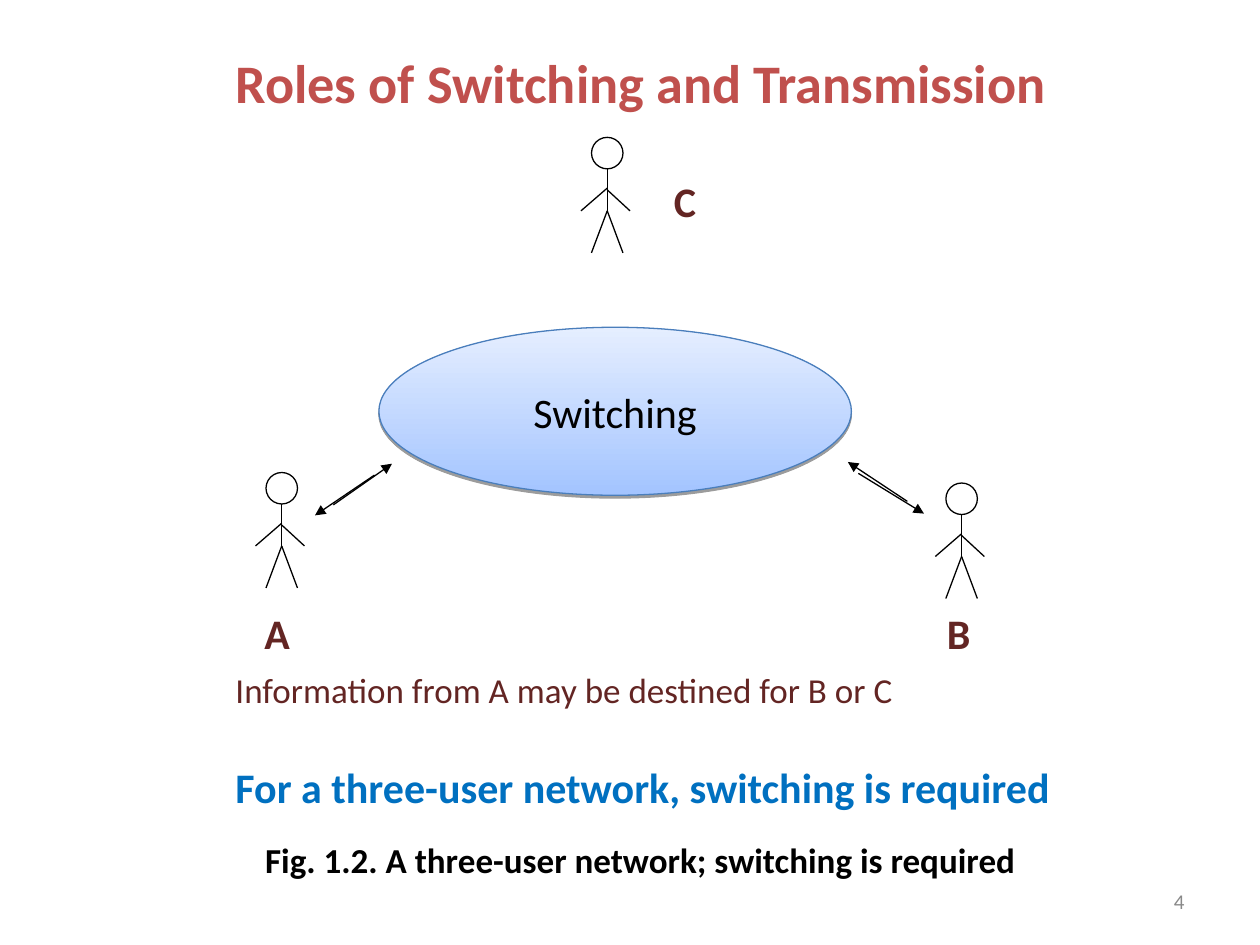
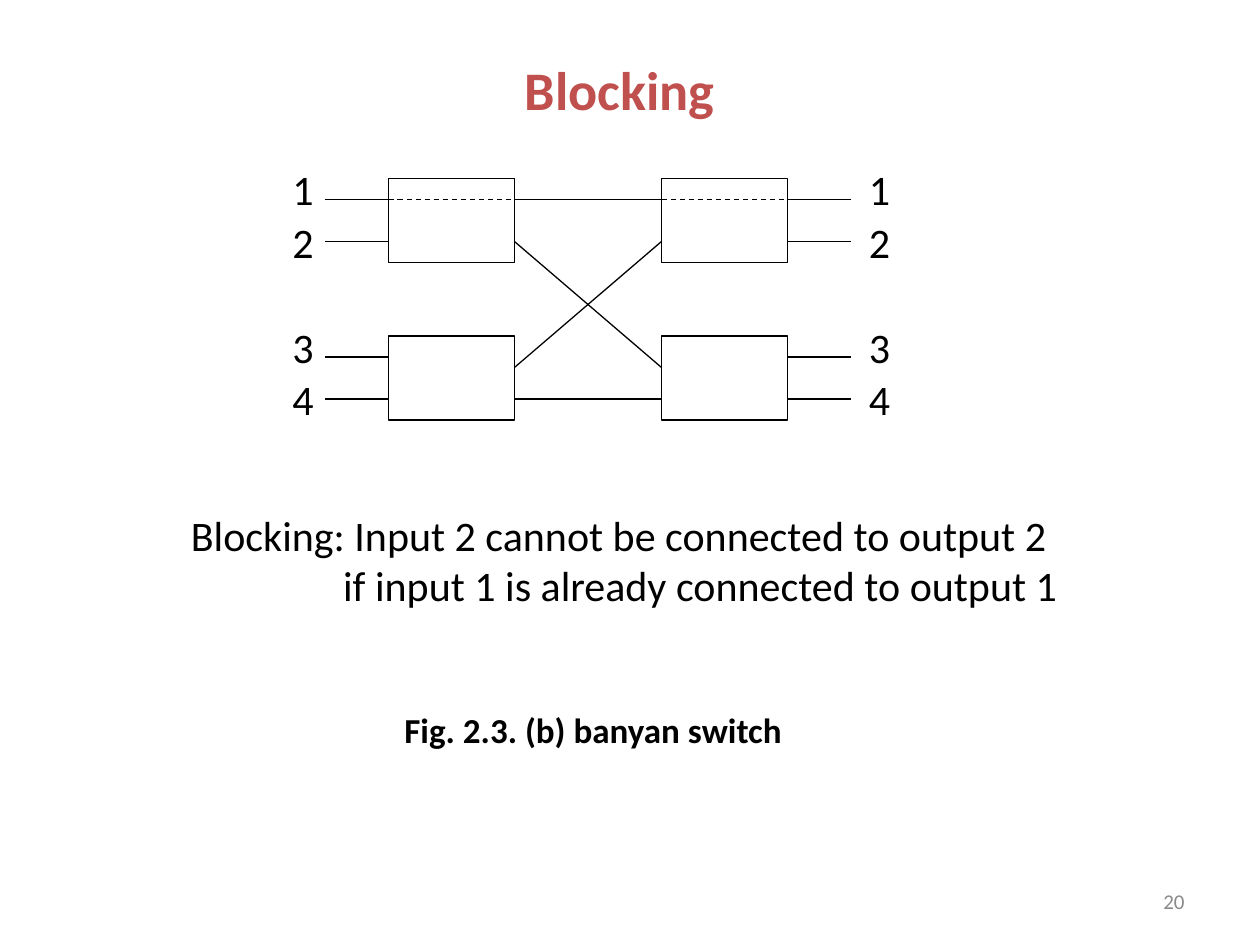
from lxml.etree import SubElement
from pptx import Presentation
from pptx.dml.color import RGBColor
from pptx.enum.dml import MSO_LINE
from pptx.enum.shapes import MSO_CONNECTOR, MSO_SHAPE
from pptx.enum.text import MSO_ANCHOR, PP_ALIGN
from pptx.oxml.ns import qn
from pptx.util import Pt

FONT = "Calibri"
BLACK, RED, MAROON, BLUE, GRAY = "000000", "C0504D", "632523", "0070C0", "898989"
hex_color = RGBColor.from_string
LEFT, CENTER, RIGHT = PP_ALIGN.LEFT, PP_ALIGN.CENTER, PP_ALIGN.RIGHT


def write(slide, box, lines, size, color, bold=False, align=LEFT, anchor=MSO_ANCHOR.TOP):
    frame = slide.shapes.add_textbox(*map(Pt, box)).text_frame
    frame.word_wrap = True
    frame.vertical_anchor = anchor
    for number, line in enumerate(lines):
        paragraph = frame.paragraphs[0] if number == 0 else frame.add_paragraph()
        paragraph.alignment = align
        run = paragraph.add_run()
        run.text = line
        run.font.name = FONT
        run.font.size = Pt(size)
        run.font.bold = bold
        run.font.color.rgb = hex_color(color)
    return frame


def draw_line(slide, ends, arrow=False, dashed=False):
    line = slide.shapes.add_connector(MSO_CONNECTOR.STRAIGHT, *map(Pt, ends))
    line.line.color.rgb = hex_color(BLACK)
    line.line.width = Pt(0.75)
    if dashed:
        line.line.dash_style = MSO_LINE.DASH
    properties = line._element.spPr
    if arrow:
        SubElement(properties.find(qn("a:ln")), qn("a:tailEnd"), type="triangle")
    SubElement(properties, qn("a:effectLst"))


deck = Presentation()
deck.slide_width, deck.slide_height = Pt(720), Pt(540)
roles, blocking = [deck.slides.add_slide(deck.slide_layouts[6]) for _ in range(2)]

for slide, title, title_corner, caption, caption_box, page in (
    (roles, "Roles of Switching and Transmission", (60, 20),
     "Fig. 1.2. A three-user network; switching is required", (60, 464, 612, 54), "4"),
    (blocking, "Blocking", (48, 24),
     "Fig. 2.3. (b) banyan switch", (186, 390, 306, 54), "20"),
):
    write(slide, (*title_corner, 612, 54), [title], 31, RED, True, CENTER, MSO_ANCHOR.MIDDLE)
    write(slide, caption_box, [caption], 20, BLACK, True, CENTER, MSO_ANCHOR.MIDDLE)
    write(slide, (516, 500.4, 168, 28.8), [page], 12, GRAY, False, RIGHT, MSO_ANCHOR.MIDDLE)

switching = roles.shapes.add_shape(MSO_SHAPE.OVAL, Pt(216.5), Pt(187), Pt(270), Pt(96))
switching.fill.gradient()
switching.fill.gradient_angle = 90
for stop, position, shade in zip(switching.fill.gradient_stops, (0, 1), ("A3C4FF", "E5EEFF")):
    stop.position = position
    stop.color.rgb = hex_color(shade)
switching.line.color.rgb = hex_color("4A7EBB")
switching.line.width = Pt(0.75)
switching.shadow.inherit = False
shadow = SubElement(switching._element.spPr.find(qn("a:effectLst")), qn("a:outerShdw"),
                    blurRad="0", dist=str(Pt(1.6)), dir="5400000", rotWithShape="0")
shadow_color = SubElement(shadow, qn("a:srgbClr"), val=BLACK)
SubElement(shadow_color, qn("a:alpha"), val="38000")
switching.text_frame.vertical_anchor = MSO_ANCHOR.MIDDLE
switching_text = switching.text_frame.paragraphs[0]
switching_text.alignment = CENTER
switching_run = switching_text.add_run()
switching_run.text = "Switching"
switching_run.font.name = FONT
switching_run.font.size = Pt(24)
switching_run.font.color.rgb = hex_color(BLACK)

limbs = ((0, 18, 0, 43), (0, 29, -15, 42), (0, 30, 13, 42), (0, 42, -9, 66), (0, 42, 9, 66))
for user, x, y, label_x, label_y in (
    ("A", 161, 270, 144, 343.5),
    ("B", 549.5, 276, 534, 343.5),
    ("C", 347, 78.5, 378, 97),
):
    head = roles.shapes.add_shape(MSO_SHAPE.OVAL, Pt(x - 9), Pt(y), Pt(18), Pt(18))
    head.fill.background()
    head.line.color.rgb = hex_color(BLACK)
    head.line.width = Pt(0.75)
    head.shadow.inherit = False
    for x1, y1, x2, y2 in limbs:
        draw_line(roles, (x + x1, y + y1, x + x2, y + y2))
    write(roles, (label_x, label_y, 32, 36), [user], 24, MAROON, True)

for ends in (
    (190.5, 288.5, 224, 265), (214, 271.5, 180, 294.5),
    (518.5, 286.5, 484.5, 264), (490.5, 270.5, 528, 293.5),
    (347.75, 145.5, 347.75, 145.5),
):
    draw_line(roles, ends, arrow=True)

message = write(roles, (127.5, 378.75, 490, 89),
                ["Information from A may be destined for B or C",
                 "For a three-user network, switching is required"], 20, MAROON)
requirement = message.paragraphs[1]
requirement.line_spacing = 2.0
requirement_font = requirement.runs[0].font
requirement_font.size = Pt(24)
requirement_font.bold = True
requirement_font.color.rgb = hex_color(BLUE)

explanation = write(blocking, (102, 287.5, 516, 65),
                    ["Blocking: Input 2 cannot be connected to output 2",
                     "if input 1 is already connected to output 1"], 24, BLACK)
explanation.paragraphs[1]._p.get_or_add_pPr().set("marL", str(Pt(87)))

stage_lefts, stage_width = (222, 378), 72
for stage_left in stage_lefts:
    for stage_top in (102, 192):
        element = blocking.shapes.add_shape(
            MSO_SHAPE.RECTANGLE, Pt(stage_left), Pt(stage_top), Pt(stage_width), Pt(48))
        element.fill.background()
        element.line.color.rgb = hex_color(BLACK)
        element.line.width = Pt(0.75)
        element.shadow.inherit = False
    draw_line(blocking, (stage_left, 114, stage_left + stage_width, 114), dashed=True)

for port, port_y, label_y in (("1", 114, 90), ("2", 138, 120), ("3", 204, 180), ("4", 228, 210)):
    for wire_left, label_left in ((186, 160), (450, 489.5)):
        draw_line(blocking, (wire_left, port_y, wire_left + 36, port_y))
        write(blocking, (label_left, label_y, 30, 36), [port], 24, BLACK)

for start_y, end_y in ((114, 114), (138, 210), (210, 138), (228, 228)):
    draw_line(blocking, (stage_lefts[0] + stage_width, start_y, stage_lefts[1], end_y))

deck.save("out.pptx")
